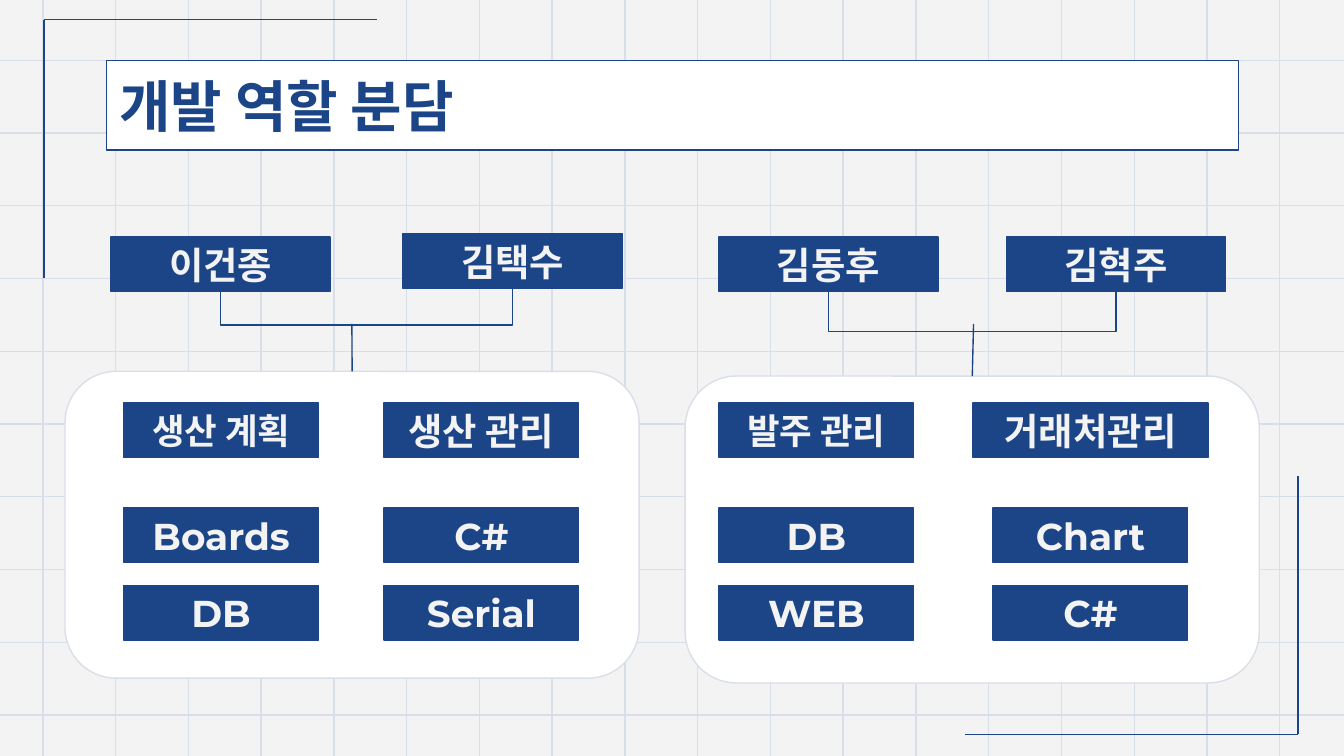
"""Build the slide that shows how development roles are shared."""
import pptx
import pptx.dml.color
import pptx.enum.shapes
import pptx.enum.text
import pptx.oxml
import pptx.oxml.ns
import pptx.util
from lxml import etree

Cm = pptx.util.Cm
Pt = pptx.util.Pt
RGBColor = pptx.dml.color.RGBColor
MSO_SHAPE = pptx.enum.shapes.MSO_SHAPE
MSO_CONNECTOR = pptx.enum.shapes.MSO_CONNECTOR
PP_ALIGN = pptx.enum.text.PP_ALIGN
qn = pptx.oxml.ns.qn

NAVY = RGBColor(0x1C, 0x45, 0x87)
PAPER = RGBColor(0xF3, 0xF3, 0xF3)
WHITE = RGBColor(0xFF, 0xFF, 0xFF)
GRID = RGBColor(0xD9, 0xDF, 0xE9)

FONT = "Montserrat"
WIDTH, HEIGHT = 25.4, 14.29
GRID_STEP = 1.375
BOX_H = 1.03
NAME_W = 4.14
TAG_W = 3.68
ROWS = (7.62, 9.6, 11.07)
PANELS = ((1.23, 7.02), (12.95, 7.11))
PAIRS = (
    (("이건종", 2.1, 4.48), ("김택수", 7.62, 4.42)),
    (("김동후", 13.59, 4.48), ("김혁주", 19.02, 4.48)),
)
BRACKET_Y = (6.14, 6.26)
STEMS = ((6.65, 6.12), (18.4, 6.12))
COLUMNS = (
    (2.34, ("생산 계획", "Boards", "DB")),
    (7.26, ("생산 관리", "C#", "Serial")),
    (13.59, ("발주 관리", "DB", "WEB")),
    (18.77, ("거래처관리", "Chart", "C#")),
)
WIDE_TAGS = {"거래처관리": 4.44}
SMALL_TAGS = ("생산 계획", "발주 관리")


def add_box(s, kind, x, y, w, h, fill, line):
    """Add a filled and outlined shape without a shadow."""
    sp = s.shapes.add_shape(kind, Cm(x), Cm(y), Cm(w), Cm(h))
    sp.shadow.inherit = False
    sp.fill.solid()
    sp.fill.fore_color.rgb = fill
    sp.line.color.rgb = line
    sp.line.width = Pt(0.75)
    return sp


def add_label(s, text, x, y, w, h=BOX_H, size=20, fill=NAVY, color=PAPER,
              align=PP_ALIGN.CENTER):
    """Add a rectangle with one bold line of text."""
    sp = add_box(s, MSO_SHAPE.RECTANGLE, x, y, w, h, fill, NAVY)
    tf = sp.text_frame
    tf.word_wrap = True
    tf.vertical_anchor = pptx.enum.text.MSO_ANCHOR.MIDDLE
    tf.margin_left = tf.margin_right = Cm(0.25)
    tf.margin_top = tf.margin_bottom = Cm(0.25)
    p = tf.paragraphs[0]
    p.text = text
    p.alignment = align
    p.font.name = FONT
    p.font.size = Pt(size)
    p.font.bold = True
    p.font.color.rgb = color
    return sp


def add_line(s, x1, y1, x2, y2, color=NAVY, kind=MSO_CONNECTOR.STRAIGHT):
    """Add a thin connector without a shadow."""
    c = s.shapes.add_connector(kind, Cm(x1), Cm(y1), Cm(x2), Cm(y2))
    c.line.color.rgb = color
    c.line.width = Pt(0.75)
    etree.SubElement(c._element.spPr, qn("a:effectLst"))
    return c


def add_bracket(s, left, right, y):
    """Join the bottoms of two boxes by an elbow that dips to height y."""
    c = add_line(s, 0, 0, 1, 1, kind=MSO_CONNECTOR.ELBOW)
    c.begin_connect(left, 2)
    c.end_connect(right, 2)
    x1, y1 = left.left + left.width // 2, left.top + left.height
    x2, y2 = right.left + right.width // 2, right.top + right.height
    w, h = max(y1 - y2, Cm(0.01)), x2 - x1
    c.left, c.top = (x1 + x2 - w) // 2, (y1 + y2 - h) // 2
    c.width, c.height = w, h
    xfrm = c._element.spPr.find(qn("a:xfrm"))
    for flip in ("flipH", "flipV"):
        xfrm.attrib.pop(flip, None)
    xfrm.set("rot", str(270 * 60000))
    guides = c._element.spPr.find(qn("a:prstGeom")).find(qn("a:avLst"))
    ratio = round((y1 - Cm(y)) / w * 100000)
    etree.SubElement(guides, qn("a:gd"), name="adj1", fmla=f"val {ratio}")


def add_background(s):
    """Draw the grid and the two corner marks."""
    s.background.fill.solid()
    s.background.fill.fore_color.rgb = PAPER
    for i in range(10):
        y = 1.14 + i * GRID_STEP
        add_line(s, 0, y, WIDTH, y, GRID)
    for i in range(18):
        x = 0.81 + i * GRID_STEP
        add_line(s, x, HEIGHT, x, 0, GRID)
    add_line(s, 0.83, 5.26, 0.83, 0.37)
    add_line(s, 7.12, 0.37, 0.83, 0.37)
    add_line(s, 24.53, 8.99, 24.53, 13.88)
    add_line(s, 18.24, 13.88, 24.53, 13.88)


def add_team(s, panel, pair, bracket_y, stem):
    """Add a panel and the two linked people above it."""
    sp = add_box(s, MSO_SHAPE.ROUNDED_RECTANGLE, *panel, 10.85, 5.8, WHITE, GRID)
    left, right = [add_label(s, name, x, y, NAME_W) for name, x, y in pair]
    add_bracket(s, left, right, bracket_y)
    add_line(s, *stem, *stem).end_connect(sp, 0)


def add_column(s, x, tags):
    """Add one column of task and skill tags."""
    for tag, y in zip(tags, ROWS):
        w = WIDE_TAGS.get(tag, TAG_W)
        size = 19 if tag in SMALL_TAGS else 20
        add_label(s, tag, x - (w - TAG_W) / 2, y, w, size=size)


def main():
    """Build and save the presentation."""
    prs = pptx.Presentation()
    prs.slide_width, prs.slide_height = Cm(WIDTH), Cm(HEIGHT)
    s = prs.slides.add_slide(prs.slide_layouts[6])
    add_background(s)
    add_label(s, "개발 역할 분담", 2.01, 1.14, 21.4, 1.7, 30, WHITE, NAVY,
              PP_ALIGN.LEFT)
    for team in zip(PANELS, PAIRS, BRACKET_Y, STEMS):
        add_team(s, *team)
    for x, tags in COLUMNS:
        add_column(s, x, tags)
    prs.save("out.pptx")


if __name__ == "__main__":
    main()
